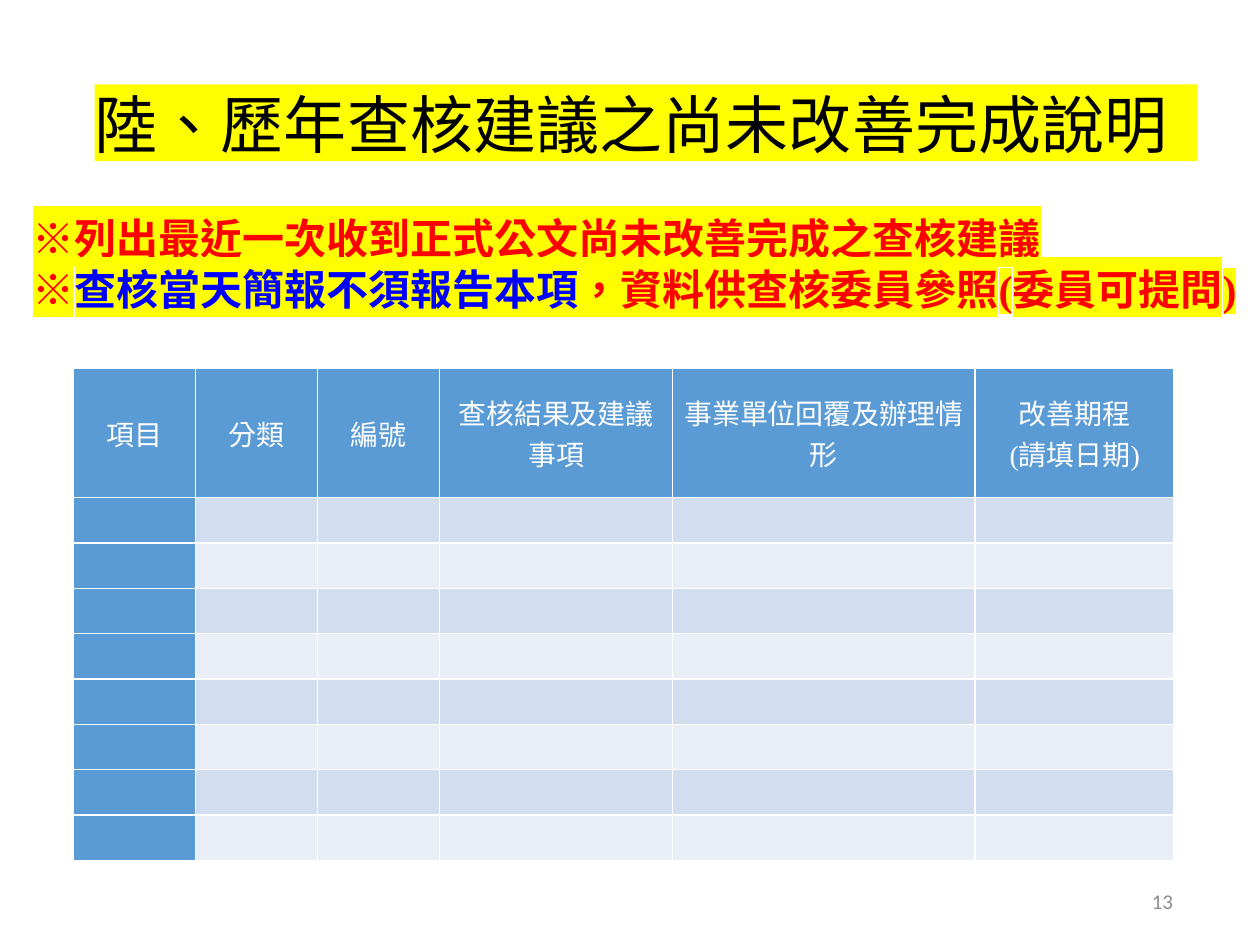
from dataclasses import dataclass

from lxml import etree
from pptx import Presentation
from pptx.dml.color import RGBColor
from pptx.enum.text import MSO_ANCHOR, PP_ALIGN
from pptx.oxml.ns import qn
from pptx.util import Inches, Pt

LEFT, CENTER, RIGHT = PP_ALIGN.LEFT, PP_ALIGN.CENTER, PP_ALIGN.RIGHT
TOP, MIDDLE = MSO_ANCHOR.TOP, MSO_ANCHOR.MIDDLE


@dataclass(frozen=True)
class Theme:
    """Colours, fonts and type sizes."""
    black: str = "000000"
    white: str = "FFFFFF"
    yellow: str = "FFFF00"
    red: str = "FF0000"
    blue: str = "0000FF"
    gray: str = "8C8C8C"
    head: str = "5B9BD5"
    bands: tuple = ("D2DEEF", "EAEFF7")
    sans: str = "Noto Sans CJK SC"
    serif: str = "Times New Roman"
    plain: str = "Calibri"
    title: int = 36
    note: int = 24
    cell: int = 16
    small: int = 12


def add_text(para, text, *, size, font, color, bold=False, mark=None, gap=0):
    """Add one formatted run to a paragraph; gap is letter spacing in points."""
    run = para.add_run()
    run.text = text
    run.font.size, run.font.name, run.font.bold = Pt(size), font, bold
    run.font.color.rgb = RGBColor.from_string(color)
    props = run.font._element
    props.set("lang", "zh-TW")
    if gap:
        props.set("spc", str(round(gap * 100)))
    if mark:
        light = etree.Element(qn("a:highlight"))
        etree.SubElement(light, qn("a:srgbClr"), val=mark)
        props.find(qn("a:solidFill")).addnext(light)


def set_frame(frame, anchor, inset=(0, 0)):
    """Set wrapping, anchor and the side and top insets."""
    frame.word_wrap = True
    frame.vertical_anchor = anchor
    frame.margin_left = frame.margin_right = Inches(inset[0])
    frame.margin_top = frame.margin_bottom = Inches(inset[1])


def set_fill(part, color):
    part.fill.solid()
    part.fill.fore_color.rgb = RGBColor.from_string(color)


class Deck:
    """Holds the theme and the current slide."""

    def __init__(self, slide, theme):
        self.slide, self.theme = slide, theme

    def title(self, text, box):
        t, shape = self.theme, self.slide.shapes.title
        shape.left, shape.top, shape.width, shape.height = map(Inches, box)
        set_fill(shape, t.yellow)
        set_frame(shape.text_frame, MIDDLE)
        para = shape.text_frame.paragraphs[0]
        para.alignment = LEFT
        add_text(para, text, size=t.title, font=t.sans, color=t.black, gap=0.1)

    def text(self, lines, box, *, align=LEFT, anchor=TOP, inset=(0, 0),
             **style):
        """Each line is a list of (text, colour) pairs."""
        frame = self.slide.shapes.add_textbox(*map(Inches, box)).text_frame
        set_frame(frame, anchor, inset)
        for i, line in enumerate(lines):
            para = frame.add_paragraph() if i else frame.paragraphs[0]
            para.alignment = align
            for text, color in line:
                add_text(para, text, color=color, **style)

    def table(self, heads, widths, heights, spot):
        t = self.theme
        grid = self.slide.shapes.add_table(
            len(heights), len(widths), *map(Inches, spot),
            Inches(sum(widths)), Inches(sum(heights))).table
        for col, width in zip(grid.columns, widths):
            col.width = Inches(width)
        for r, height in enumerate(heights):
            grid.rows[r].height = Inches(height)
            for c, head in enumerate(heads):
                band = t.bands[(r - 1) % len(t.bands)]
                self.cell(grid.cell(r, c), head if r == 0 else "",
                          t.head if r == 0 or c == 0 else band)

    def cell(self, cell, text, color):
        t = self.theme
        cell.vertical_anchor = MIDDLE
        cell.margin_left = cell.margin_right = Inches(0.07)
        cell.margin_top = cell.margin_bottom = 0
        # White rules on all four sides
        for side in ("lnL", "lnR", "lnT", "lnB"):
            line = etree.SubElement(cell._tc.get_or_add_tcPr(),
                                    qn("a:" + side), w=str(Pt(1)))
            fill = etree.SubElement(line, qn("a:solidFill"))
            etree.SubElement(fill, qn("a:srgbClr"), val=t.white)
        set_fill(cell, color)
        for i, part in enumerate(text.split("\n")):
            frame = cell.text_frame
            para = frame.add_paragraph() if i else frame.paragraphs[0]
            para.alignment = CENTER
            if part:
                add_text(para, part, size=t.cell, font=t.serif, color=t.white)
            else:
                para.font.size = Pt(t.cell)


def main():
    show = Presentation()
    show.slide_width, show.slide_height = Inches(10), Inches(7.5)
    theme = Theme()
    deck = Deck(show.slides.add_slide(show.slide_layouts[5]), theme)

    # Heading
    deck.title("陸、歷年查核建議之尚未改善完成說明", (0.75, 0.67, 8.75, 0.61))

    # Table of open items
    heads = ["項目", "分類", "編號", "查核結果及建議事項",
             "事業單位回覆及辦理情形", "改善期程\n(請填日期)"]
    deck.table(heads, [0.97] * 3 + [1.85, 2.4, 1.58],
               [1.03] + [0.36] * 8, (0.58, 2.92))

    # Page number
    deck.text([[("13", theme.gray)]], (7.06, 6.95, 2.25, 0.4), align=RIGHT,
              anchor=MIDDLE, size=theme.small, font=theme.plain)

    # Notes above the table
    notes = [
        [("※列出最近一次收到正式公文尚未改善完成之查核建議", theme.red)],
        [("※", theme.red), ("查核當天簡報不須報告本項", theme.blue),
         ("，資料供查核委員參照(委員可提問)", theme.red)],
    ]
    deck.text(notes, (0.16, 1.64, 9.85, 0.91), inset=(0.1, 0.05),
              size=theme.note, font=theme.serif, bold=True, mark=theme.yellow)

    show.save("out.pptx")


if __name__ == "__main__":
    main()
